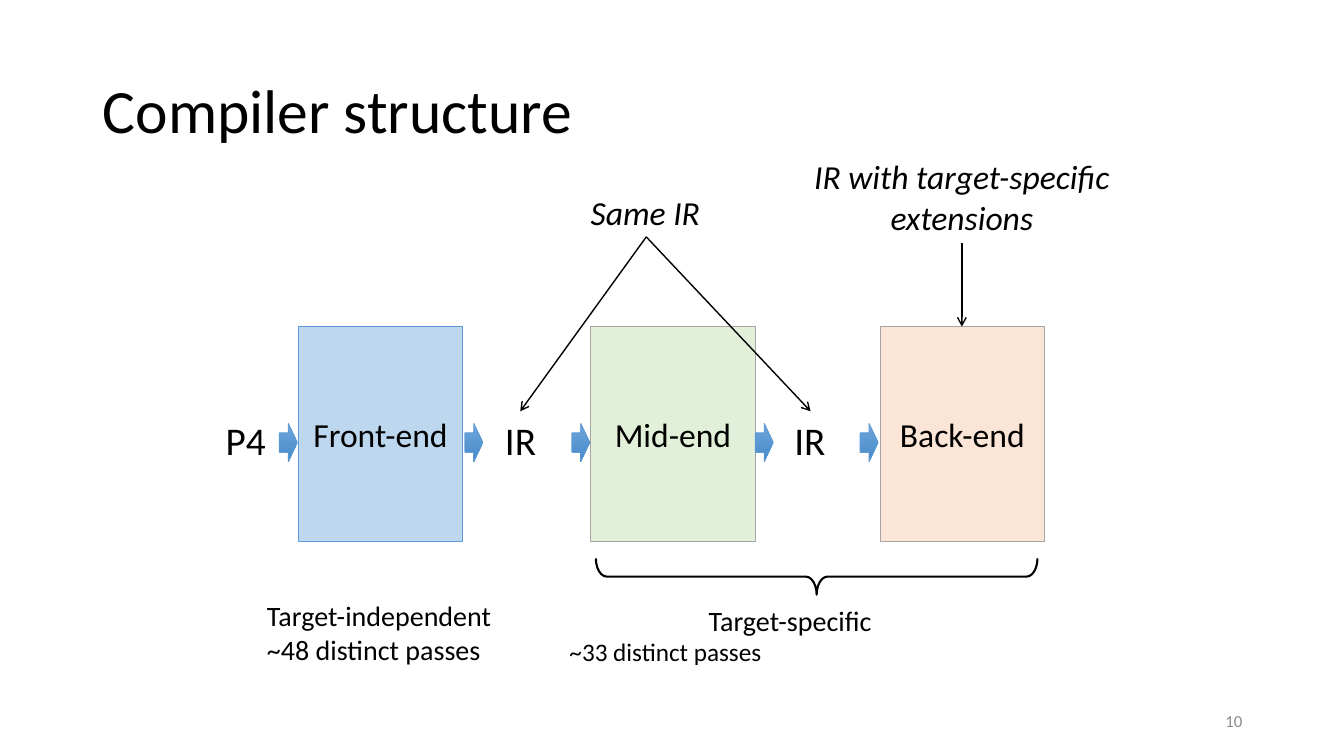
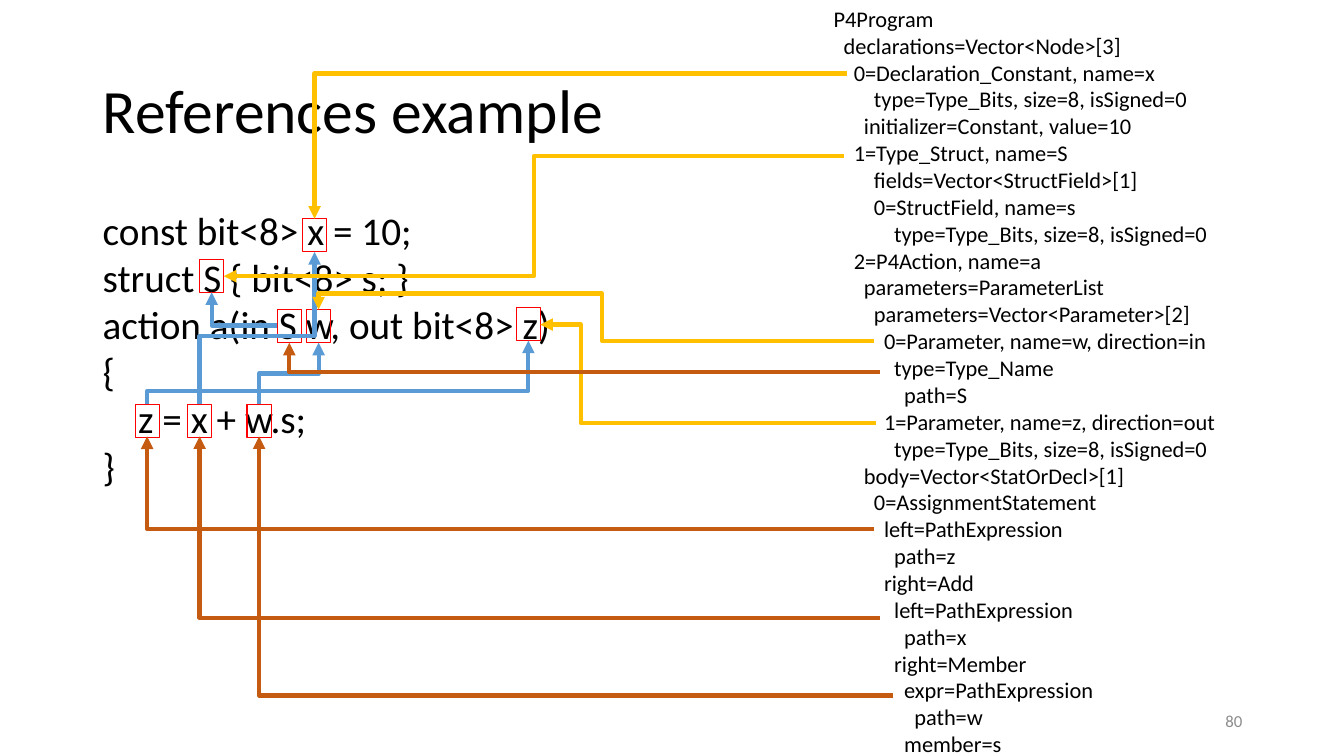
from lxml import etree
from pptx import Presentation
from pptx.dml.color import RGBColor
from pptx.enum import shapes, text
from pptx.oxml import ns
from pptx import util as u

PX = 9144
FONT = "Calibri"
COLORS = {
    "ink": "000000", "page": "8C8C8C", "mark": "FF0000",
    "front": "BDD7EE", "mid": "E2F0D9", "back": "FBE5D6", "edge": "A5A5A5",
    "blue": "5B9BD5", "gold": "FFC000", "rust": "C55A11",
    "arrow_top": "71A6DB", "arrow_end": "448ACA",
}
ALIGN = text.PP_ALIGN
ANCHOR = text.MSO_ANCHOR
SHAPE = shapes.MSO_SHAPE
LINE = shapes.MSO_CONNECTOR

SOURCE_CODE = """const bit<8> x = 10;
struct S { bit<8> s; }
action a(in S w, out bit<8> z)
{
    z = x + w.s;
}"""

DECLARATIONS_TREE = """P4Program
  declarations=Vector<Node>[3]
    0=Declaration_Constant, name=x
        type=Type_Bits, size=8, isSigned=0
      initializer=Constant, value=10
    1=Type_Struct, name=S
        fields=Vector<StructField>[1]
        0=StructField, name=s
            type=Type_Bits, size=8, isSigned=0"""

ACTION_TREE = """    2=P4Action, name=a
      parameters=ParameterList
        parameters=Vector<Parameter>[2]
          0=Parameter, name=w, direction=in
            type=Type_Name
              path=S
          1=Parameter, name=z, direction=out
            type=Type_Bits, size=8, isSigned=0"""

BODY_TREE = """      body=Vector<StatOrDecl>[1]
        0=AssignmentStatement
          left=PathExpression
            path=z
          right=Add
            left=PathExpression
              path=x
            right=Member
              expr=PathExpression
                path=w
              member=s"""


def px(*values):
    return [u.Emu(round(v * PX)) for v in values]


def rgb(name):
    return RGBColor.from_string(COLORS[name])


def write(tf, content, size=20, color="ink", italic=False, align=ALIGN.LEFT,
          anchor=ANCHOR.TOP, wrap=True, spacing=None):
    tf.auto_size = text.MSO_AUTO_SIZE.NONE
    tf.word_wrap = wrap
    tf.vertical_anchor = anchor
    for i, line in enumerate(content.split("\n")):
        p = tf.paragraphs[0] if i == 0 else tf.add_paragraph()
        p.alignment = align
        p.line_spacing = spacing
        r = p.add_run()
        r.text = line
        r.font.name = FONT
        r.font.size = u.Pt(size)
        r.font.italic = italic
        r.font.color.rgb = rgb(color)


class Deck:
    def __init__(self):
        self.prs = Presentation()
        self.prs.slide_width, self.prs.slide_height = px(1333, 750)
        self.s = None

    def slide(self, title, number):
        self.s = self.prs.slides.add_slide(self.prs.slide_layouts[5])
        sp = self.s.shapes.title
        sp.left, sp.top, sp.width, sp.height = px(92, 40, 1150, 145)
        write(sp.text_frame, title, size=44, anchor=ANCHOR.MIDDLE, spacing=0.9)
        self.label(number, 942, 695, 300, 40, size=12, color="page",
                   align=ALIGN.RIGHT, anchor=ANCHOR.MIDDLE, wrap=True)

    def label(self, content, x, y, w, h, wrap=False, **fmt):
        sp = self.s.shapes.add_textbox(*px(x, y, w, h))
        write(sp.text_frame, content, wrap=wrap, **fmt)

    def shape(self, kind, x, y, w, h, fill=None, line="ink", weight=0.5):
        sp = self.s.shapes.add_shape(kind, *px(x, y, w, h))
        sp.shadow.inherit = False
        if fill:
            sp.fill.solid()
            sp.fill.fore_color.rgb = rgb(fill)
        else:
            sp.fill.background()
        sp.line.color.rgb = rgb(line)
        sp.line.width = u.Pt(weight)
        return sp

    def stage(self, name, x, fill, line):
        sp = self.shape(SHAPE.RECTANGLE, x, 324, 163, 213, fill, line)
        write(sp.text_frame, name, size=24, align=ALIGN.CENTER,
              anchor=ANCHOR.MIDDLE)

    def flow_arrow(self, x):
        sp = self.shape(SHAPE.RIGHT_ARROW, x, 420, 18, 38, line="blue")
        sp.fill.gradient()
        sp.fill.gradient_angle = 270
        for stop, color in zip(sp.fill.gradient_stops, ("arrow_top", "arrow_end")):
            stop.color.rgb = rgb(color)

    def brace(self, x, y, w, h):
        sp = self.shape(SHAPE.LEFT_BRACE, x + (w - h) / 2, y + (h - w) / 2, h, w,
                        weight=1.5)
        sp.rotation = 270
        sp.adjustments[0] = 0.3

    def marker(self, x, y):
        self.shape(SHAPE.RECTANGLE, x, y, 24, 33, line="mark", weight=0.75)

    def arrow(self, start, end, color="ink", weight=1, head="arrow",
              kind=LINE.STRAIGHT):
        cn = self.s.shapes.add_connector(kind, *px(*start, *end))
        cn.line.color.rgb = rgb(color)
        cn.line.width = u.Pt(weight)
        ln = cn._element.spPr.find(ns.qn("a:ln"))
        etree.SubElement(ln, ns.qn("a:tailEnd"), type=head)
        etree.SubElement(cn._element.spPr, ns.qn("a:effectLst"))
        return cn

    def elbow(self, start, end, color, bends=()):
        cn = self.arrow(start, end, color, 3, "triangle", LINE.ELBOW)
        geom = cn._element.spPr.find(ns.qn("a:prstGeom"))
        geom.set("prst", f"bentConnector{len(bends) + 2}")
        guides = geom.find(ns.qn("a:avLst"))
        if guides is None:
            guides = etree.SubElement(geom, ns.qn("a:avLst"))
        for i, bend in enumerate(bends, 1):
            etree.SubElement(guides, ns.qn("a:gd"), name=f"adj{i}",
                             fmla=f"val {round(bend * 100000)}")
        return cn

    def riser(self, start, end, color, bend):
        cx, cy = (start[0] + end[0]) / 2, (start[1] + end[1]) / 2
        dx, dy = (end[0] - start[0]) / 2, (start[1] - end[1]) / 2
        cn = self.elbow((cx + dy, cy + dx), (cx - dy, cy - dx), color, [bend])
        cn._element.spPr.find(ns.qn("a:xfrm")).set("rot", "5400000")


def compiler_structure(deck):
    deck.slide("Compiler structure", "10")
    for name, x, fill, line in (("Front-end", 296, "front", "blue"),
                                ("Mid-end", 586, "mid", "edge"),
                                ("Back-end", 873, "back", "edge")):
        deck.stage(name, x, fill, line)
    for name, x, w in (("P4", 214, 60), ("IR", 491, 51), ("IR", 778, 51)):
        deck.label(name, x, 408, w, 57, size=28)
    for x in (277, 461, 567, 749, 853):
        deck.flow_arrow(x)
    deck.brace(591, 554, 438, 36)
    deck.label("Target-specific", 693, 594, 185, 44)
    deck.label("Target-independent\n~48 distinct passes", 255, 589, 246, 77)
    deck.label("~33 distinct passes", 555, 626, 213, 40, size=18)
    deck.label("Same IR", 576, 185, 130, 50, size=24, italic=True)
    deck.label("IR with target-specific\nextensions", 796, 150, 316, 91,
               size=24, italic=True, align=ALIGN.CENTER)
    for start, end in (((641, 235), (516, 408)), ((641, 235), (804, 408)),
                       ((954, 241), (954, 324))):
        deck.arrow(start, end)


def references_example(deck):
    deck.slide("References example", "80")
    deck.label(SOURCE_CODE, 92, 200, 481, 476, size=28, wrap=True)
    tree = "\n".join((DECLARATIONS_TREE, ACTION_TREE, BODY_TREE))
    deck.label(tree, 817, 0, 516, 750, size=16, wrap=True)
    for x, y in ((300, 217), (198, 257), (275, 307), (304, 307), (512, 305),
                 (134, 401), (186, 401), (245, 401)):
        deck.marker(x, y)
    for start, end, bend in (((146, 401), (524, 338), 0.21),
                             ((198, 401), (312, 250), 0.45),
                             ((257, 401), (316, 340), 0.5)):
        deck.riser(start, end, "blue", bend)
    deck.elbow((275, 323), (210, 290), "blue")
    for start, end, bends in (((840, 73), (312, 217), ()),
                              ((837, 155), (222, 274), (0.5,)),
                              ((869, 420), (536, 322), (0.88,)),
                              ((867, 338), (316, 307), (0.49, 1.51))):
        deck.elbow(start, end, "gold", bends)
    for start, end in (((873, 369), (287, 340)), ((867, 525), (146, 433)),
                       ((873, 613), (198, 433)), ((886, 690), (257, 433))):
        deck.elbow(start, end, "rust")


def main():
    deck = Deck()
    compiler_structure(deck)
    references_example(deck)
    deck.prs.save("out.pptx")


if __name__ == "__main__":
    main()
